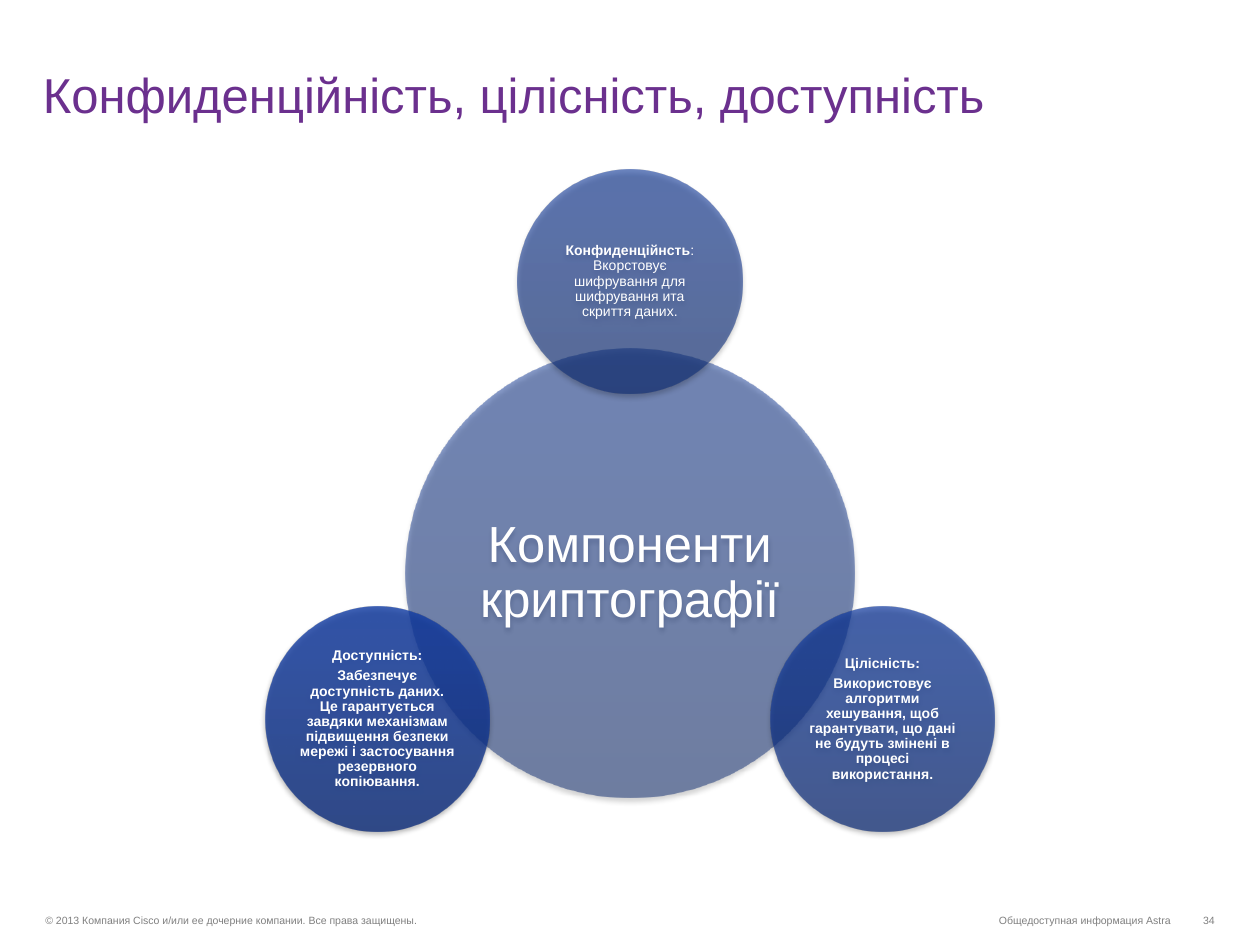
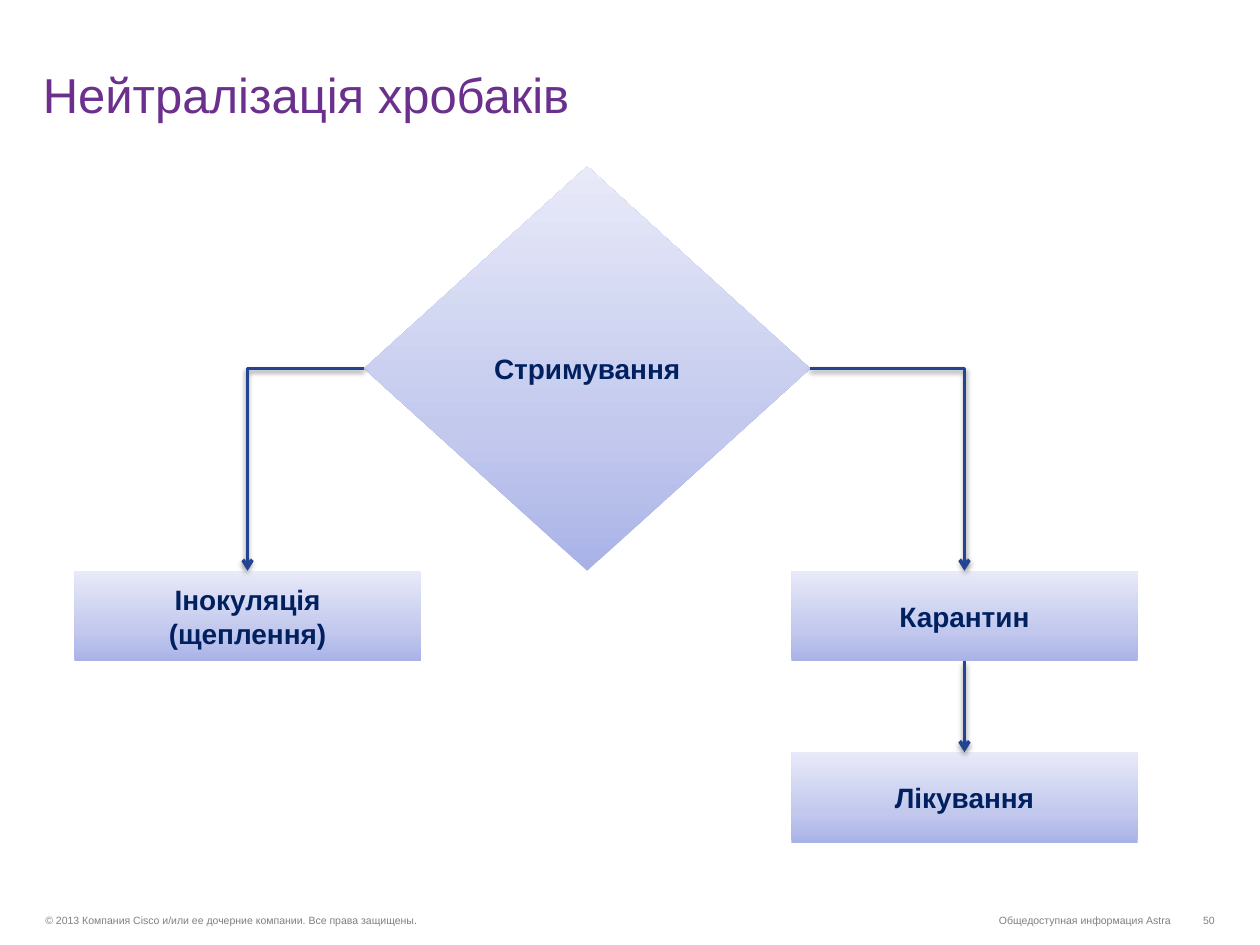
from math import cos, sin, radians
from pptx import Presentation
from pptx.dml.color import RGBColor
from pptx.enum.shapes import MSO_SHAPE as Geo, MSO_CONNECTOR as Link
from pptx.enum.text import PP_ALIGN as Al, MSO_ANCHOR as Anc
from pptx.oxml import parse_xml as to_xml
from pptx.oxml.ns import nsdecls, qn
from pptx.util import Inches, Pt

PURPLE, GREY, WHITE, NAVY, BLUE = "6B308E", "808080", "FFFFFF", "002060", "234493"
PALE = [(0, "A9B2E7"), (35, "C3C9ED"), (100, "E8EAF9")]
TOP, LEFT, LOW, RIGHT = range(4)


def hue(code):
    return RGBColor.from_string(code)


def cells(*nums):
    return [Inches(n / 10) for n in nums]


class Deck:
    """Holds the style and current slide on a grid of 100 columns by 75 rows."""

    def __init__(self):
        self.prs = Presentation()
        self.prs.slide_width, self.prs.slide_height = cells(100, 75)

    def page(self, title, num):
        self.slide = self.prs.slides.add_slide(self.prs.slide_layouts[5])
        head = self.slide.shapes.title
        head.left, head.top, head.width, head.height = cells(2.5, 1.1, 96.7, 9.2)
        self.label(head, [title], 28, PURPLE, align=Al.LEFT, anchor=Anc.BOTTOM)
        self.note(2.7, 37.4, "© 2013 Компания Cisco и/или ее дочерние компании. "
                  "Все права защищены.", Al.LEFT)
        self.note(73, 20.8, "Общедоступная информация Astra", Al.RIGHT)
        self.note(94.5, 2.8, num, Al.RIGHT)

    def note(self, col, wide, text, align):
        box = self.slide.shapes.add_textbox(*cells(col, 72, wide, 1.9))
        self.label(box, [text], 6, GREY, align=align, anchor=Anc.BOTTOM,
                   inset=(0.09, 0.04))

    def label(self, shape, paras, size, color, bold=False, align=Al.CENTER,
              anchor=Anc.MIDDLE, inset=(0.09, 0.05), space=1, gap=0):
        frame = shape.text_frame
        side, edge = (Inches(n) for n in inset)
        look = {"word_wrap": True, "vertical_anchor": anchor, "margin_left": side,
                "margin_right": side, "margin_top": edge, "margin_bottom": edge}
        for key, val in look.items():
            setattr(frame, key, val)
        for i, para in enumerate(paras):
            par = frame.add_paragraph() if i else frame.paragraphs[0]
            form = {"alignment": align, "line_spacing": space,
                    "space_before": Pt(gap if i else 0)}
            for key, val in form.items():
                setattr(par, key, val)
            runs = [(para, bold)] if isinstance(para, str) else para
            for text, heavy in runs:
                run = par.add_run()
                run.text = text
                face = {"name": "Arial", "size": Pt(size), "bold": heavy}
                for key, val in face.items():
                    setattr(run.font, key, val)
                run.font.color.rgb = hue(color)

    def block(self, geo, col, row, wide, high, stops, alpha=100):
        shape = self.slide.shapes.add_shape(geo, *cells(col, row, wide, high))
        shape.line.fill.background()
        shape.shadow.inherit = False
        shape.fill.gradient()
        marks = "".join(
            f'<a:gs pos="{pos * 1000}"><a:srgbClr val="{code}">'
            f'<a:alpha val="{alpha * 1000}"/></a:srgbClr></a:gs>' for pos, code in stops)
        props = shape.element.spPr
        props.replace(props.find(qn("a:gradFill")), to_xml(
            f'<a:gradFill {nsdecls("a")} rotWithShape="1"><a:gsLst>{marks}</a:gsLst>'
            '<a:lin ang="16200000" scaled="0"/></a:gradFill>'))
        return shape

    def shade(self, shape, dist, alpha):
        props = shape.element.spPr
        if props.find(qn("a:effectLst")) is None:
            props.append(to_xml(f'<a:effectLst {nsdecls("a")}/>'))
        props.find(qn("a:effectLst")).append(to_xml(
            f'<a:outerShdw {nsdecls("a")} blurRad="{int(Pt(3.1))}" '
            f'dist="{int(Pt(dist))}" dir="5400000" rotWithShape="0">'
            f'<a:srgbClr val="000000"><a:alpha val="{alpha * 1000}"/></a:srgbClr>'
            '</a:outerShdw>'))

    def disc(self, x, y, size, tones, alpha, paras, font, **style):
        shape = self.block(Geo.OVAL, x - size / 2, y - size / 2, size, size,
                           list(zip((0, 80, 100), tones)), alpha)
        self.shade(shape, 1.8, 35)
        self.label(shape, paras, font, WHITE, space=0.9, inset=(0.01, 0.01), **style)

    def step(self, geo, col, row, wide, high, *paras):
        shape = self.block(geo, col, row, wide, high, PALE)
        self.label(shape, paras, 16, NAVY, bold=True)
        return shape

    def arrow(self, start, out, end, bent=True):
        line = self.slide.shapes.add_connector(
            Link.ELBOW if bent else Link.STRAIGHT, 0, 0, 0, 0)
        line.begin_connect(start, out)
        line.end_connect(end, TOP)
        line.line.color.rgb = hue(BLUE)
        line.line.width = Pt(2)
        props = line.element.spPr
        if bent:
            props.find(qn("a:prstGeom")).set("prst", "bentConnector2")
        props.find(qn("a:ln")).append(to_xml(f'<a:tailEnd {nsdecls("a")} type="arrow"/>'))
        self.shade(line, 1.6, 38)


def triad(deck):
    deck.page("Конфиденційність, цілісність, доступність", "34")
    x, y, reach = 50, 45.5, 23.15
    deck.disc(x, y, 35.6, ("0C296F", "103690", "0E3593"), 50,
              ["Компоненти криптографії"], 29)
    parts = [
        (-90, ("0D2B73", "113895", "0E3798"), 60, 0,
         [[("Конфиденційнсть", True), (":", False)],
          [("Вкорстовує шифрування для шифрування ита скриття даних.", False)]]),
        (30, ("0E2D77", "123A9A", "0F399E"), 70, 3,
         ["Цілісність:", "Використовує алгоритми хешування, щоб гарантувати, "
          "що дані не будуть змінені в процесі використання."]),
        (150, ("0F2E7B", "133C9F", "103BA3"), 80, 3,
         ["Доступність:", "Забезпечує доступність даних. Це гарантується завдяки "
          "механізмам підвищення безпеки мережі і застосування резервного копіювання."]),
    ]
    for turn, tones, alpha, gap, paras in parts:
        deck.disc(x + reach * cos(radians(turn)), y + reach * sin(radians(turn)), 17.8,
                  tones, alpha, paras, 8, bold=True, gap=gap)


def worms(deck):
    deck.page("Нейтралізація хробаків", "50")
    wide, high, row, near, far = 27.5, 7.2, 45.3, 5.9, 62.8
    hold = deck.step(Geo.DIAMOND, 28.9, 13.2, 35.4, 32.1, "Стримування")
    shot = deck.step(Geo.RECTANGLE, near, row, wide, high, "Інокуляція", "(щеплення)")
    ward = deck.step(Geo.RECTANGLE, far, row, wide, high, "Карантин")
    cure = deck.step(Geo.RECTANGLE, far, row + 2 * high, wide, high, "Лікування")
    deck.arrow(hold, LEFT, shot)
    deck.arrow(hold, RIGHT, ward)
    deck.arrow(ward, LOW, cure, bent=False)


def main():
    deck = Deck()
    triad(deck)
    worms(deck)
    deck.prs.save("out.pptx")


if __name__ == "__main__":
    main()
